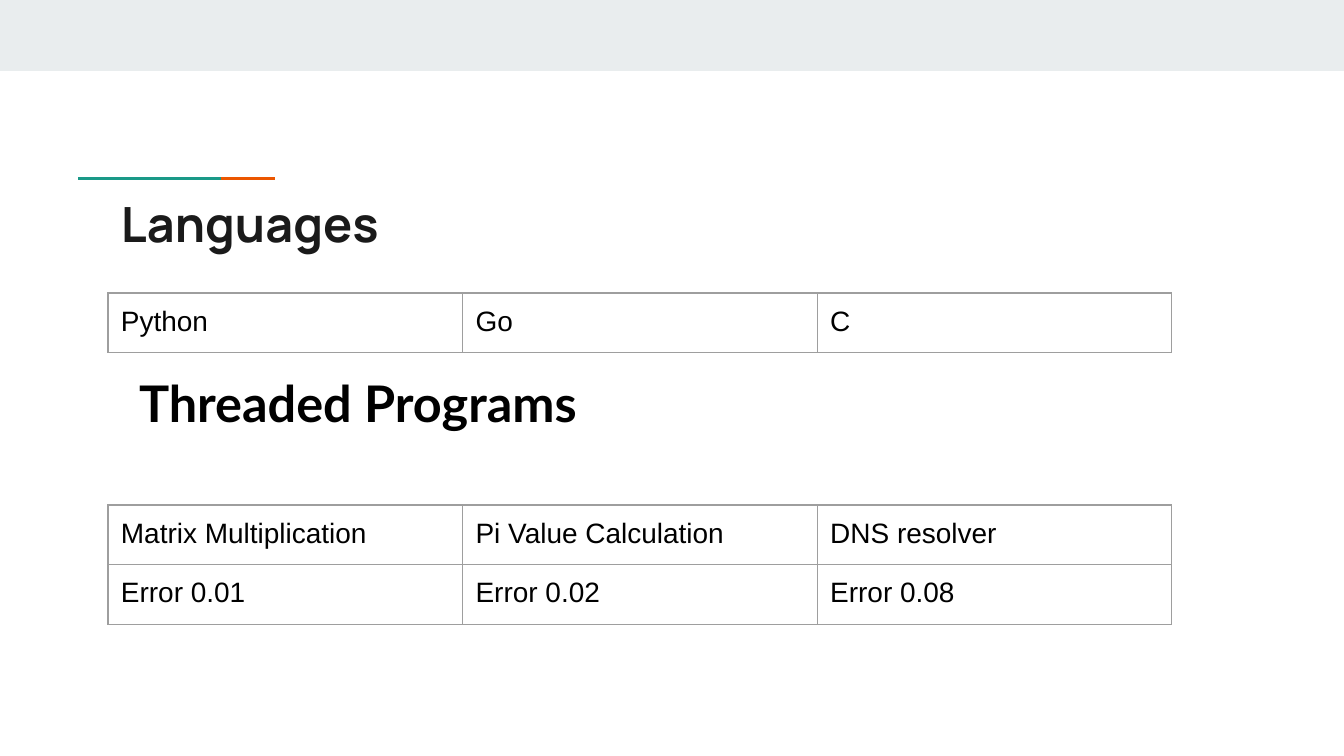
import pptx
import pptx.util
import pptx.dml.color
import pptx.enum.shapes
import pptx.oxml
import pptx.oxml.ns

SCALE = 914400 / 134.4


def px(num):
    return pptx.util.Emu(round(num * SCALE))


def color(code):
    return pptx.dml.color.RGBColor.from_string(code)


class Deck:
    """Hold the style and the current slide, and draw each kind of element."""

    ink = "000000"
    edge = "9E9E9E"
    inset = 13
    row = 56
    frame = 441

    def __init__(self, wide, high):
        self.file = pptx.Presentation()
        self.file.slide_width, self.file.slide_height = px(wide), px(high)
        self.slide = self.file.slides.add_slide(self.file.slide_layouts[6])

    def bar(self, shapes, left, top, wide, high, fill, turn=0):
        kind = pptx.enum.shapes.MSO_SHAPE.RECTANGLE
        shape = shapes.add_shape(kind, px(left), px(top), px(wide), px(high))
        shape.rotation = turn
        shape.shadow.inherit = False
        shape.fill.solid()
        shape.fill.fore_color.rgb = color(fill)
        shape.line.fill.background()

    def accent(self, left, top, wide, high, parts):
        group = self.slide.shapes.add_group_shape()
        for spot, fill in parts:
            self.bar(group.shapes, spot, 0, 27, 550, fill, 270)
        group.left, group.top = px(left), px(top)
        group.width, group.height = px(wide), px(high)

    def style(self, frame, size, face, ink, bold):
        for para in frame.paragraphs:
            for run in para.runs:
                run.font.size = pptx.util.Pt(size)
                run.font.name = face
                run.font.bold = bold
                run.font.color.rgb = color(ink)

    def pad(self, item):
        item.margin_left = item.margin_right = px(self.inset)
        item.margin_top = item.margin_bottom = px(self.inset)

    def head(self, left, top, wide, high, text, size, face, ink):
        frame = self.slide.shapes.add_textbox(px(left), px(top), px(wide), px(high)).text_frame
        frame.word_wrap = True
        self.pad(frame)
        frame.text = text
        self.style(frame, size, face, ink, True)

    def border(self, cell):
        props = cell._tc.get_or_add_tcPr()
        space = pptx.oxml.ns.nsdecls("a")
        for spot, side in enumerate(("lnL", "lnR", "lnT", "lnB")):
            props.insert(spot, pptx.oxml.parse_xml(
                f'<a:{side} {space} w="9525"><a:solidFill>'
                f'<a:srgbClr val="{self.edge}"/></a:solidFill></a:{side}>'))

    def table(self, left, top, wide, rows):
        shape = self.slide.shapes.add_table(
            len(rows), len(rows[0]), px(left), px(top), px(wide), px(self.row * len(rows)))
        shape.width = shape.height = px(self.frame)
        grid = shape.table
        grid.first_row = grid.horz_banding = False
        for line, texts in zip(grid.rows, rows):
            for cell, text in zip(line.cells, texts):
                cell.fill.background()
                self.pad(cell)
                cell.text_frame.text = text
                self.style(cell.text_frame, 15, "Arial", self.ink, False)
                self.border(cell)


def main():
    deck = Deck(1344, 756)
    deck.bar(deck.slide.shapes, 0, 0, 1344, 71, "E9EDEE")
    deck.accent(146, 151, 61, 55, [(208, "EB5600"), (0, "1A9988")])
    deck.head(108, 181, 1130, 79, "Languages", 26, "Manrope", "1A1A1A")
    deck.table(108, 293, 1064, [("Python", "Go", "C")])
    deck.head(126, 359, 907, 106, "Threaded Programs", 27, "Lato", deck.ink)
    deck.table(108, 505, 1064, [
        ("Matrix Multiplication", "Pi Value Calculation", "DNS resolver"),
        ("Error 0.01", "Error 0.02", "Error 0.08"),
    ])
    deck.file.save("out.pptx")


if __name__ == "__main__":
    main()
